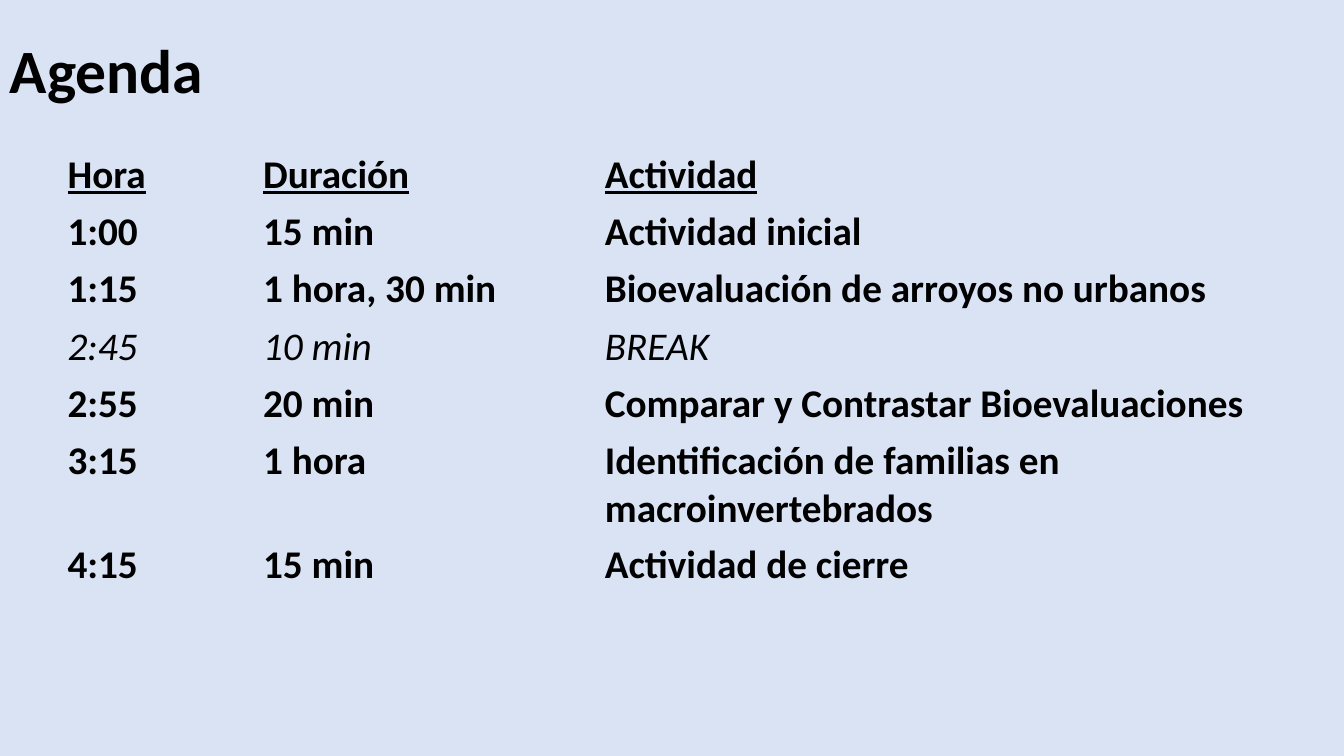
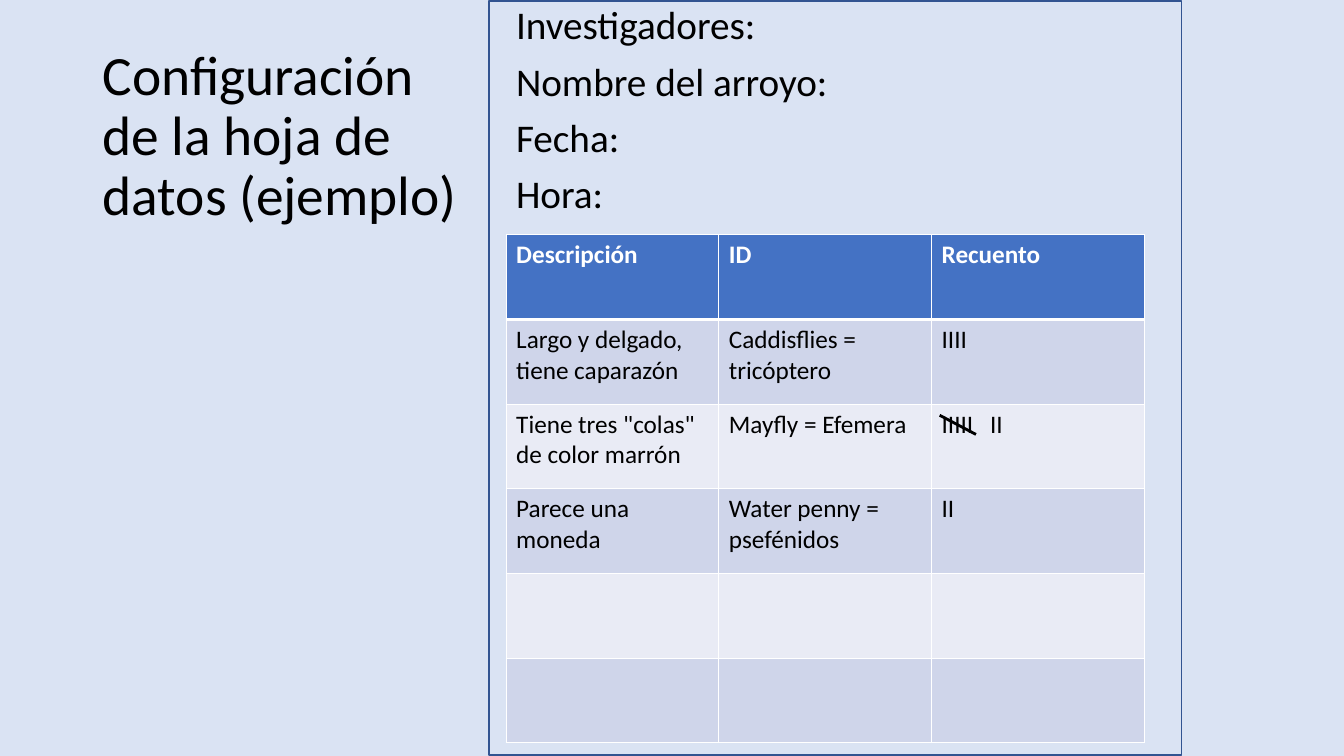
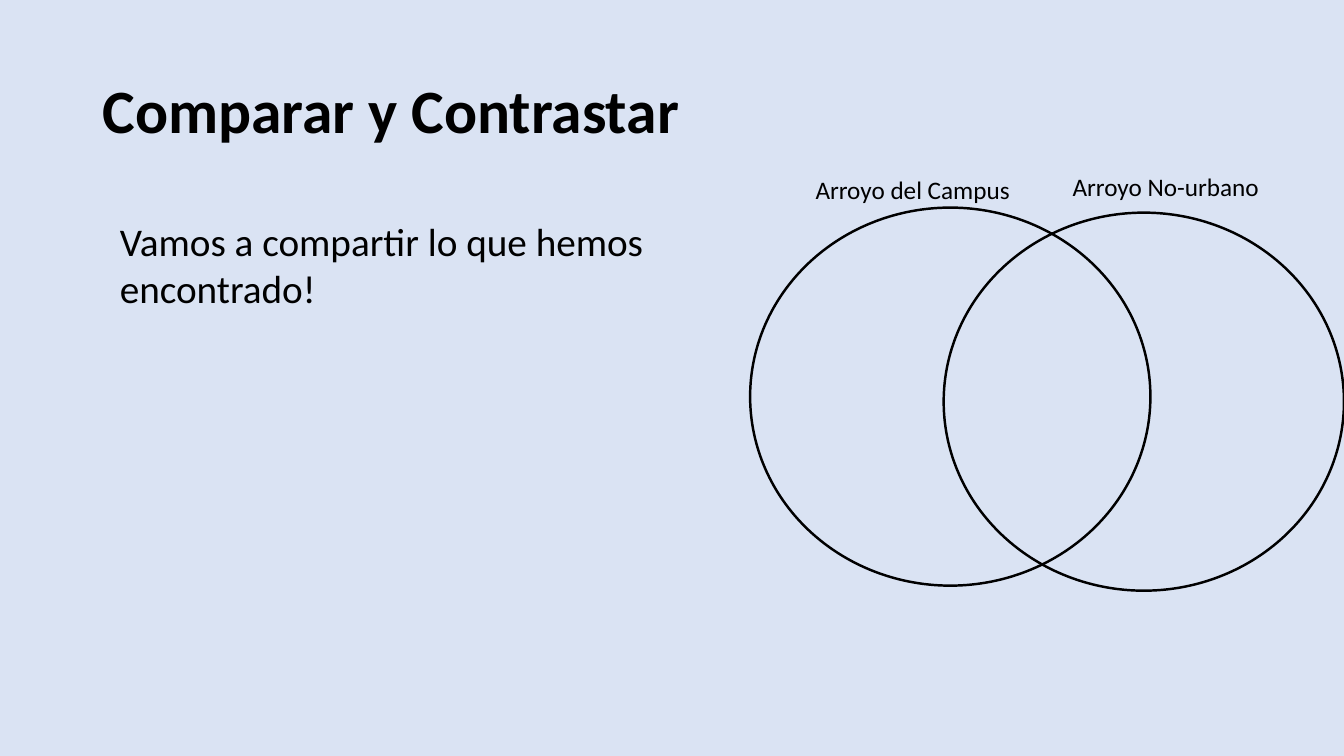
"""Build three workshop slides: agenda, data sheet and comparison."""
from lxml import etree
from pptx import Presentation
from pptx.dml.color import RGBColor
from pptx.enum.shapes import MSO_CONNECTOR, MSO_SHAPE
from pptx.enum.text import MSO_ANCHOR, MSO_AUTO_SIZE
from pptx.oxml.ns import qn
from pptx.util import Inches, Pt

MIDDLE, TOP = MSO_ANCHOR.MIDDLE, MSO_ANCHOR.TOP
FIT = MSO_AUTO_SIZE.SHAPE_TO_FIT_TEXT
OVAL, RECT = MSO_SHAPE.OVAL, MSO_SHAPE.RECTANGLE
STRAIGHT = MSO_CONNECTOR.STRAIGHT

FONT = "Calibri"
BLACK, WHITE, PALE = "000000", "FFFFFF", "DAE3F3"
HEAD, FRAME = "4472C4", "325491"
BANDS = ["CFD5EA", "E9EBF5"]
NO_STYLE = "{2D5ABB26-0587-4C30-8999-92F81FD0307C}"

AGENDA = [
    ("Hora", "Duración", "Actividad"),
    ("1:00", "15 min", "Actividad inicial"),
    ("1:15", "1 hora, 30 min", "Bioevaluación de arroyos no urbanos"),
    ("2:45", "10 min", "BREAK"),
    ("2:55", "20 min", "Comparar y Contrastar Bioevaluaciones"),
    ("3:15", "1 hora", "Identificación de familias en macroinvertebrados"),
    ("4:15", "15 min", "Actividad de cierre"),
]
FIELDS = ["Investigadores:", "Nombre del arroyo:", "Fecha:", "Hora:"]
SHEET = [
    ("Descripción", "ID", "Recuento"),
    ("Largo y delgado, tiene caparazón", "Caddisflies = tricóptero", "IIII"),
    ('Tiene tres "colas" de color marrón', "Mayfly = Efemera", "IIIII\tII"),
    ("Parece una moneda", "Water penny = psefénidos", "II"),
    ("", "", ""),
    ("", "", ""),
]
CIRCLES = [
    ("Arroyo del Campus", (7.99, 1.68, 2.21, 0.4), (7.44, 2.06, 3.97, 3.75)),
    ("Arroyo No-urbano", (10.54, 1.65, 2.07, 0.4), (9.36, 2.11, 3.97, 3.75)),
]


def color(code):
    """Turn a hex string into a colour."""
    return RGBColor.from_string(code)


def place(box):
    """Turn a tuple of inches into lengths."""
    return [Inches(n) for n in box]


def style(par, size, bold=False, italic=False, under=False, code=BLACK):
    """Set the font of a paragraph."""
    font = par.font
    font.name, font.size, font.bold = FONT, Pt(size), bold
    font.italic, font.underline = italic, under
    font.color.rgb = color(code)


def write(slide, box, lines, size, bold=False, anchor=TOP, lead=None,
          before=0, wrap=True, fit=False):
    """Add a text box with one paragraph per line."""
    frame = slide.shapes.add_textbox(*place(box)).text_frame
    frame.word_wrap, frame.vertical_anchor = wrap, anchor
    if fit:
        frame.auto_size = FIT
    frame.text = "\n".join(lines)
    for par in frame.paragraphs:
        style(par, size, bold)
        par.space_before = Pt(before)
        if lead:
            par.line_spacing = lead


def title(slide, box, text, size=44, bold=True):
    """Add a slide title."""
    write(slide, box, [text], size, bold, MIDDLE, 0.9)


def outline(slide, kind, box, code, width):
    """Add an unfilled shape."""
    shape = slide.shapes.add_shape(kind, *place(box))
    shape.shadow.inherit = False
    shape.fill.background()
    shape.line.color.rgb = color(code)
    shape.line.width = Pt(width)


def border(cell, base):
    """Draw white cell borders with a given bottom width."""
    props = cell._tc.get_or_add_tcPr()
    for side, width in zip("LRTB", (1, 1, 1, base)):
        line = etree.SubElement(props, qn("a:ln" + side), w=str(Pt(width)))
        fill = etree.SubElement(line, qn("a:solidFill"))
        etree.SubElement(fill, qn("a:srgbClr"), val=WHITE)


def tab(par, stop):
    """Set a left tab stop in inches."""
    stops = etree.Element(qn("a:tabLst"))
    etree.SubElement(stops, qn("a:tab"), pos=str(Inches(stop)), algn="l")
    par._p.get_or_add_pPr().insert(0, stops)


def grid(slide, data, spot, cols, height):
    """Add a table and yield its cells with their row numbers."""
    box = (*spot, sum(cols), height * len(data))
    table = slide.shapes.add_table(len(data), len(cols), *place(box)).table
    for col, width in zip(table.columns, cols):
        col.width = Inches(width)
    for num, (row, texts) in enumerate(zip(table.rows, data)):
        row.height = Inches(height)
        for cell, text in zip(row.cells, texts):
            cell.text = text
            yield num, cell
    table._tbl.tblPr.find(qn("a:tableStyleId")).text = NO_STYLE


def agenda(slide):
    """Fill the agenda slide."""
    title(slide, (0, 0, 11.5, 1.45), "Agenda")
    for num, cell in grid(slide, AGENDA, (0.57, 1.45), (1.94, 3.39, 7.5), 0.41):
        rest = AGENDA[num][2] == "BREAK"
        style(cell.text_frame.paragraphs[0], 28, not rest, rest, num == 0)
        cell.fill.background()


def sheet(slide):
    """Fill the data sheet slide."""
    title(slide, (0.92, 0.4, 3.93, 1.93),
          "Configuración de la hoja de datos (ejemplo)", 39.6, False)
    write(slide, (5.02, 0.01, 6.51, 2.32), FIELDS, 28, lead=0.9, before=10)
    for num, cell in grid(slide, SHEET, (5.02, 2.33), (2.11,) * 3, 0.84):
        head = num == 0
        par = cell.text_frame.paragraphs[0]
        style(par, 18, head, code=WHITE if head else BLACK)
        if "\t" in cell.text:
            tab(par, 0.48)
        border(cell, 3 if head else 1)
        cell.fill.solid()
        cell.fill.fore_color.rgb = color(HEAD if head else BANDS[(num - 1) % 2])
    outline(slide, RECT, (4.85, 0.01, 6.87, 7.48), FRAME, 1)
    slash = slide.shapes.add_connector(STRAIGHT, *place((9.32, 4.12, 9.68, 4.31)))
    slash.line.color.rgb = color(BLACK)
    slash.line.width = Pt(2)
    etree.SubElement(slash._element.spPr, qn("a:effectLst"))


def compare(slide):
    """Fill the comparison slide."""
    title(slide, (0.92, 0.4, 11.5, 1.45), "Comparar y Contrastar")
    for label, spot, ring in CIRCLES:
        outline(slide, OVAL, ring, BLACK, 1.75)
        write(slide, spot, [label], 18, wrap=False, fit=True)
    write(slide, (1.09, 2.11, 6.73, 1.04),
          ["Vamos a compartir lo que hemos encontrado!"], 28, fit=True)


def main():
    """Build and save the deck."""
    deck = Presentation()
    deck.slide_width, deck.slide_height = place((13.33, 7.5))
    back = deck.slide_master.background.fill
    back.solid()
    back.fore_color.rgb = color(PALE)
    for fill in (agenda, sheet, compare):
        fill(deck.slides.add_slide(deck.slide_layouts[6]))
    deck.save("out.pptx")


if __name__ == "__main__":
    main()
